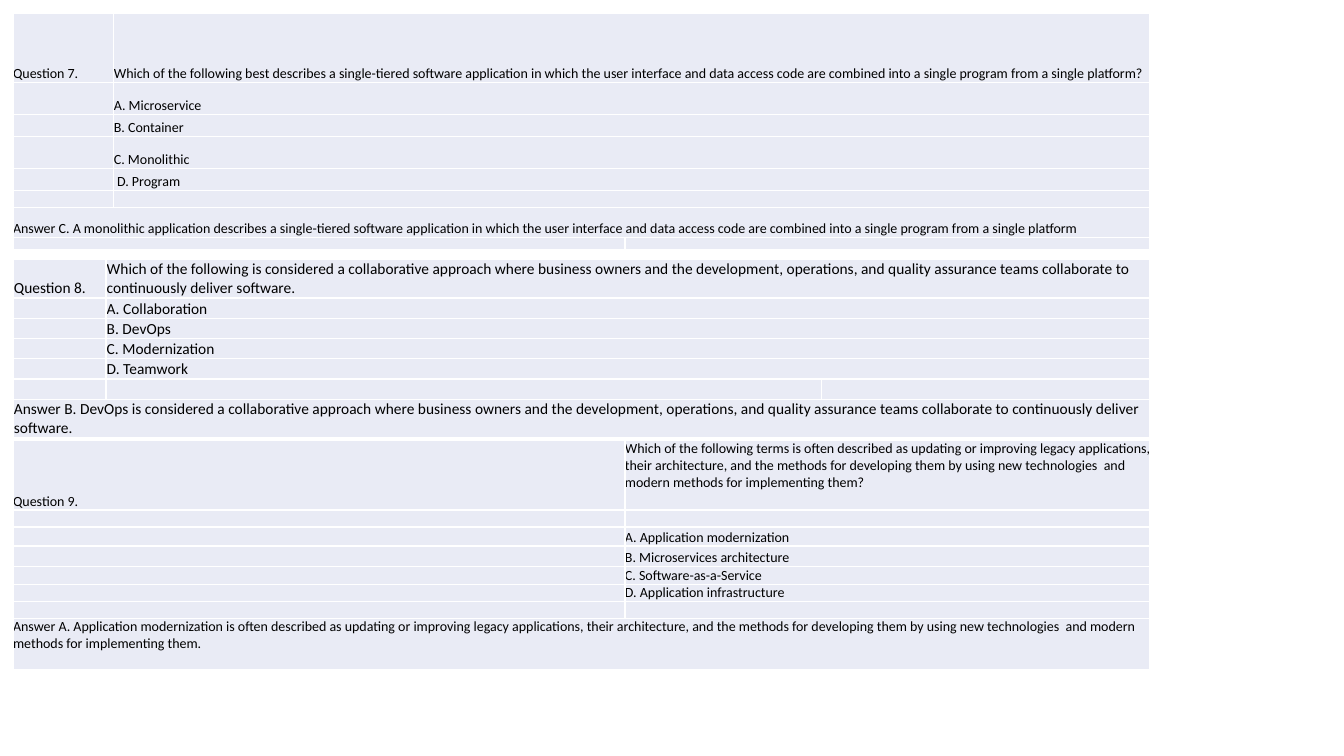
from pptx import Presentation
from pptx.dml.color import RGBColor
from pptx.enum.text import MSO_ANCHOR as Anchor
from pptx.util import Cm, Pt

LEFT = 0.33
BAND, INK = "E9EBF5", "000000"
TOP_ALIGNED = ("Which of the following terms", "Answer A.")

# Each row: height in cm, then (text, columns spanned) for each cell.
QUESTION_7 = {
    "top": 0.33, "size": 10, "margin": 0, "columns": (2.54, 12.88, 13.23),
    "rows": [
        (1.75, ("Question 7.", 1), ("Which of the following best describes a single-tiered software application in which the user interface and data access code are combined into a single program from a single platform?", 2)),
        (0.81, ("", 1), ("A. Microservice", 2)),
        (0.55, ("", 1), ("B. Container", 2)),
        (0.81, ("", 1), ("C. Monolithic", 2)),
        (0.55, ("", 1), (" D. Program", 2)),
        (0.43, ("", 1), ("", 2)),
        (0.76, ("Answer C. A monolithic application describes a single-tiered software application in which the user interface and data access code are combined into a single program from a single platform", 3)),
        (0.3, ("", 2), ("", 1)),
    ],
}
QUESTION_8 = {
    "top": 6.53, "size": 11, "margin": 0.02, "columns": (2.34, 18.03, 8.28),
    "rows": [
        (0.97, ("Question 8.", 1), ("Which of the following is considered a collaborative approach where business owners and the development, operations, and quality assurance teams collaborate to continuously deliver software.", 2)),
        (0.51, ("", 1), ("A. Collaboration", 2)),
        (0.51, ("", 1), ("B. DevOps", 2)),
        (0.51, ("", 1), ("C. Modernization", 2)),
        (0.51, ("", 1), ("D. Teamwork", 2)),
        (0.51, ("", 1), ("", 1), ("", 1)),
        (0.97, ("Answer B. DevOps is considered a collaborative approach where business owners and the development, operations, and quality assurance teams collaborate to continuously deliver software.", 3)),
    ],
}
QUESTION_9 = {
    "top": 11.1, "size": 10, "margin": 0, "columns": (15.42, 13.23),
    "rows": [
        (1.75, ("Question 9.", 1), ("Which of the following terms is often described as updating or improving legacy applications, their architecture, and the methods for developing them by using new technologies  and modern methods for implementing them?", 1)),
        (0.43, ("", 1), ("", 1)),
        (0.48, ("", 1), ("A. Application modernization", 1)),
        (0.51, ("", 1), ("B. Microservices architecture", 1)),
        (0.45, ("", 1), ("C. Software-as-a-Service", 1)),
        (0.43, ("", 1), ("D. Application infrastructure", 1)),
        (0.43, ("", 1), ("", 1)),
        (1.3, ("Answer A. Application modernization is often described as updating or improving legacy applications, their architecture, and the methods for developing them by using new technologies  and modern methods for implementing them.", 2)),
    ],
}


def color(value):
    return RGBColor.from_string(value)


def format_cell(cell, text, size, margin):
    cell.fill.solid()
    cell.fill.fore_color.rgb = color(BAND)
    cell.margin_left = cell.margin_right = cell.margin_top = Cm(margin)
    cell.margin_bottom = 0
    cell.vertical_anchor = Anchor.TOP if text.startswith(TOP_ALIGNED) else Anchor.BOTTOM
    para = cell.text_frame.paragraphs[0]
    if text:
        para.text = text
    else:  # an empty cell takes its line height from the end mark
        para._p.get_or_add_endParaRPr().set("sz", str(size * 100))
    para.font.size = Pt(size)
    para.font.name = "Calibri"
    para.font.color.rgb = color(INK)


def add_question(page, question):
    columns, rows = question["columns"], question["rows"]
    heights = [row[0] for row in rows]
    table = page.shapes.add_table(
        len(rows), len(columns), Cm(LEFT), Cm(question["top"]),
        Cm(sum(columns)), Cm(sum(heights))).table
    table.first_row = table.horz_banding = False
    for column, width in zip(table.columns, columns):
        column.width = Cm(width)
    for index, (height, *cells) in enumerate(rows):
        table.rows[index].height = Cm(height)
        size = question["size"] if height > 0.4 else 7
        start = 0
        for text, span in cells:
            for offset in range(span):
                format_cell(table.cell(index, start + offset),
                            "" if offset else text, size, question["margin"])
            if span > 1:
                table.cell(index, start).merge(table.cell(index, start + span - 1))
            start += span


def main():
    deck = Presentation()
    deck.slide_width, deck.slide_height = Cm(33.87), Cm(19.05)
    page = deck.slides.add_slide(deck.slide_layouts[6])
    for question in (QUESTION_7, QUESTION_8, QUESTION_9):
        add_question(page, question)
    deck.save("out.pptx")


if __name__ == "__main__":
    main()
